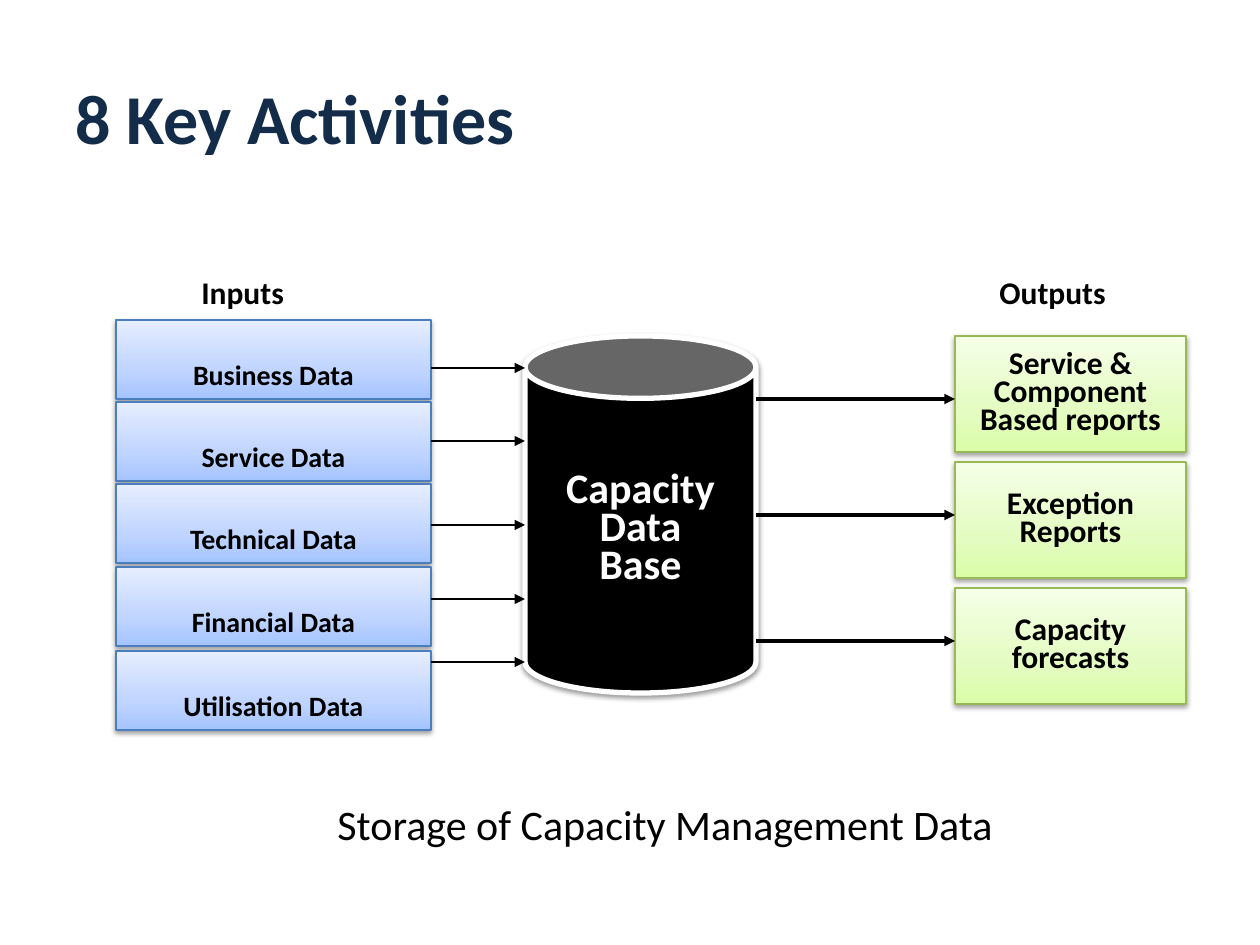
from copy import deepcopy

from lxml.etree import SubElement
from pptx import Presentation
from pptx.dml.color import RGBColor
from pptx.enum.shapes import MSO_CONNECTOR, MSO_SHAPE
from pptx.enum.text import MSO_ANCHOR, PP_ALIGN
from pptx.oxml.ns import qn
from pptx.util import Emu, Pt

SCALE = 914400 / 126
FONT = "Calibri"
COLORS = {
    "title": "132C4A",
    "black": "000000",
    "white": "FFFFFF",
    "input_line": "4B7EBC",
    "output_line": "98B955",
}
GRADIENTS = {
    "input": ("A4C4FF", "BFD4FF", "E6EEFF"),
    "output": ("DAFDA7", "E4FCC2", "F5FFE7"),
}
GRADIENT_POSITIONS = (0, 0.35, 1)
INPUTS = [
    ("Business Data", 320, 368),
    ("Service Data", 402, 441),
    ("Technical Data", 484, 525),
    ("Financial Data", 567, 599),
    ("Utilisation Data", 651, 662),
]
OUTPUTS = [
    (["Service &", "Component", "Based reports"], 399),
    (["Exception", "Reports"], 515),
    (["Capacity", "forecasts"], 641),
]
INPUT_LEFT, INPUT_WIDTH, INPUT_HEIGHT = 116, 315, 79
STORE_LEFT, STORE_TOP, STORE_WIDTH, STORE_HEIGHT = 525, 336, 231, 357
OUTPUT_LEFT, OUTPUT_WIDTH, OUTPUT_HEIGHT, OUTPUT_STEP = 955, 231, 116, 126


def px(*lengths):
    return [Emu(round(length * SCALE)) for length in lengths]


def rgb(name):
    return RGBColor.from_string(COLORS[name])


def write_lines(shape, lines, size, color, bold=True, spacing=1.0,
                align=PP_ALIGN.CENTER, anchor=MSO_ANCHOR.TOP, wrap=True):
    frame = shape.text_frame
    frame.word_wrap = wrap
    frame.vertical_anchor = anchor
    frame.text = "\n".join(lines)
    for para in frame.paragraphs:
        para.alignment = align
        para.line_spacing = spacing
        para.space_before = Pt(0)
        para.font.name = FONT
        para.font.size = Pt(size)
        para.font.bold = bold
        para.font.color.rgb = rgb(color)


def add_shadow(shape):
    shape.shadow.inherit = False
    effects = shape._element.spPr.find(qn("a:effectLst"))
    shadow = SubElement(effects, qn("a:outerShdw"), blurRad=str(Pt(3.1)),
                        dist=str(Pt(1.6)), dir="5400000", rotWithShape="0")
    color = SubElement(shadow, qn("a:srgbClr"), val=COLORS["black"])
    SubElement(color, qn("a:alpha"), val="38000")


def fill_gradient(shape, colors):
    shape.fill.gradient()
    shape.fill.gradient_angle = 90
    stop_list = shape._element.spPr.find(".//" + qn("a:gsLst"))
    stop_list.append(deepcopy(stop_list[-1]))
    for stop, color, position in zip(shape.fill.gradient_stops, colors, GRADIENT_POSITIONS):
        stop.color.rgb = RGBColor.from_string(color)
        stop.position = position


def add_block(page, kind, place, line_color, line_width):
    shape = page.shapes.add_shape(kind, *px(*place))
    shape.line.color.rgb = rgb(line_color)
    shape.line.width = Pt(line_width)
    add_shadow(shape)
    return shape


def add_gradient_box(page, role, place):
    box = add_block(page, MSO_SHAPE.RECTANGLE, place, f"{role}_line", 0.75)
    fill_gradient(box, GRADIENTS[role])
    return box


def add_store(page):
    place = (STORE_LEFT, STORE_TOP, STORE_WIDTH, STORE_HEIGHT)
    store = add_block(page, MSO_SHAPE.CAN, place, "white", 3)
    store.adjustments[0] = 0.27
    store.fill.solid()
    store.fill.fore_color.rgb = rgb("black")
    write_lines(store, ["Capacity", "Data", "Base"], 24, "white", spacing=0.75,
                anchor=MSO_ANCHOR.MIDDLE, wrap=False)


def add_arrow(page, start, end, level, width):
    arrow = page.shapes.add_connector(MSO_CONNECTOR.STRAIGHT, *px(start, level, end, level))
    arrow.line.color.rgb = rgb("black")
    arrow.line.width = Pt(width)
    SubElement(arrow.line._get_or_add_ln(), qn("a:tailEnd"), type="triangle")
    SubElement(arrow._element.spPr, qn("a:effectLst"))


def add_label(page, text, place, size, **style):
    box = page.shapes.add_textbox(*px(*place))
    write_lines(box, [text], size, "black", align=PP_ALIGN.LEFT, **style)


def add_title(page, text):
    title = page.shapes.title
    title.left, title.top, title.width, title.height = px(63, 38, 1134, 158)
    write_lines(title, [text], 40, "title", align=PP_ALIGN.LEFT, anchor=MSO_ANCHOR.MIDDLE)


def main():
    deck = Presentation()
    deck.slide_width, deck.slide_height = px(1260, 945)
    page = deck.slides.add_slide(deck.slide_layouts[5])
    add_title(page, "8 Key Activities")
    add_store(page)

    for index, (lines, level) in enumerate(OUTPUTS):
        top = STORE_TOP + index * OUTPUT_STEP
        box = add_gradient_box(page, "output", (OUTPUT_LEFT, top, OUTPUT_WIDTH, OUTPUT_HEIGHT))
        write_lines(box, lines, 18, "black", spacing=0.75,
                    anchor=MSO_ANCHOR.MIDDLE, wrap=False)
        add_arrow(page, STORE_LEFT + STORE_WIDTH, OUTPUT_LEFT, level, 2)

    for text, top, level in INPUTS:
        box = add_gradient_box(page, "input", (INPUT_LEFT, top, INPUT_WIDTH, INPUT_HEIGHT))
        write_lines(box, [text], 16, "black", spacing=1.94)
        add_arrow(page, INPUT_LEFT + INPUT_WIDTH, STORE_LEFT, level, 1.5)

    for text, left in (("Inputs", 189), ("Outputs", 987)):
        add_label(page, text, (left, 231, 199, 87), 18, spacing=1.94)
    add_label(page, "Storage of Capacity Management Data", (325, 798, 687, 58), 24,
              bold=False, spacing=0.9, wrap=False)
    deck.save("out.pptx")


if __name__ == "__main__":
    main()
